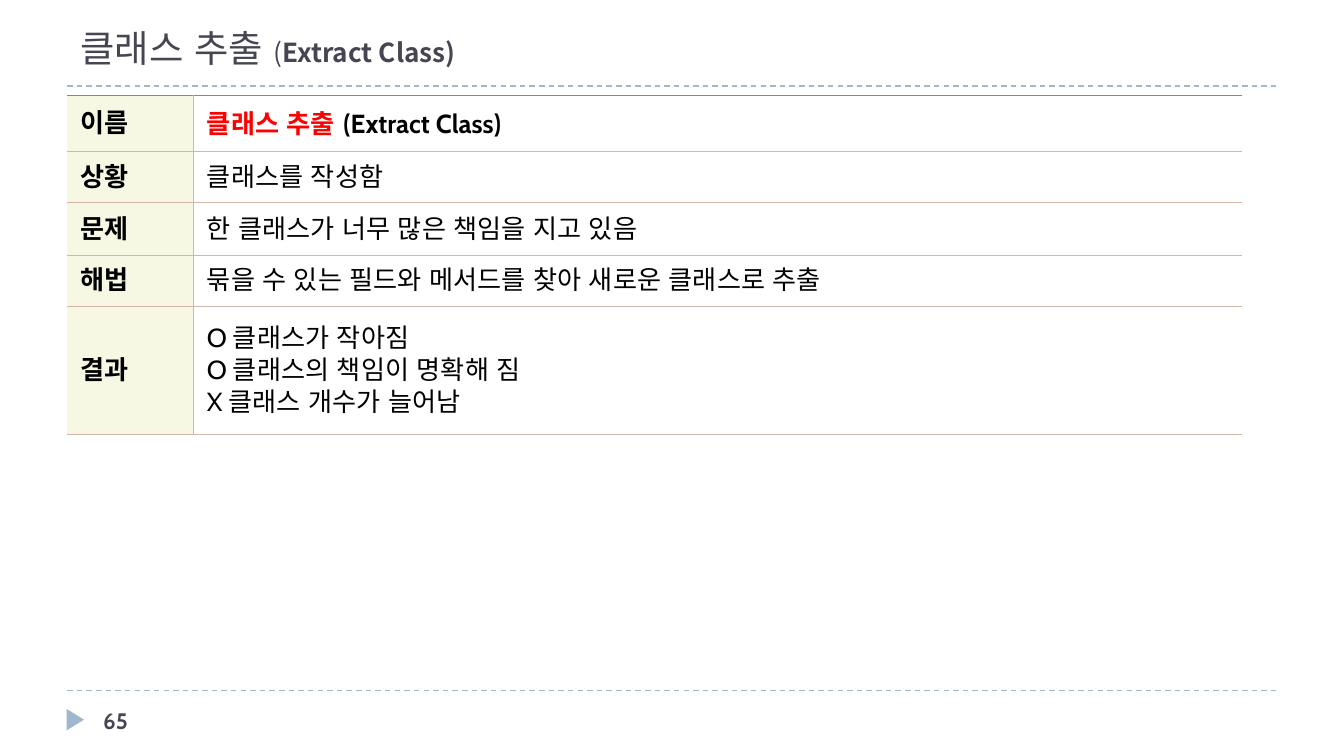
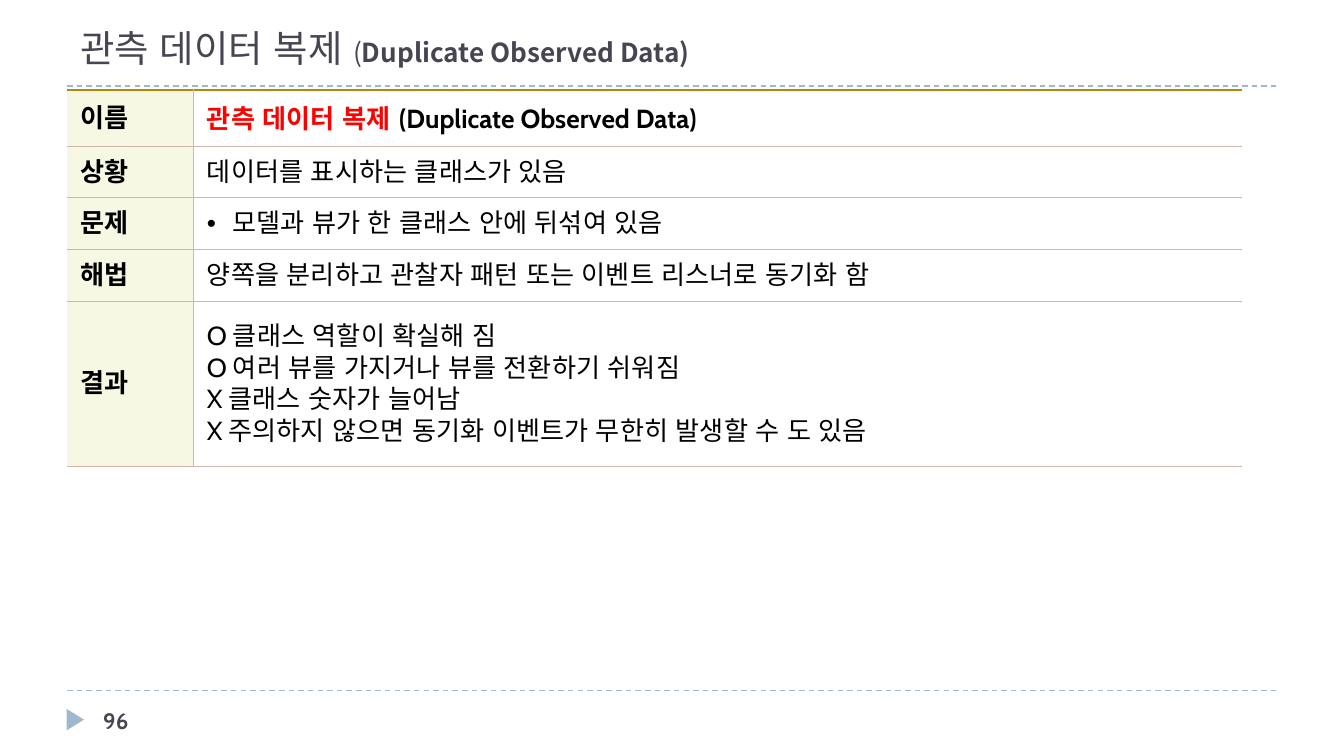
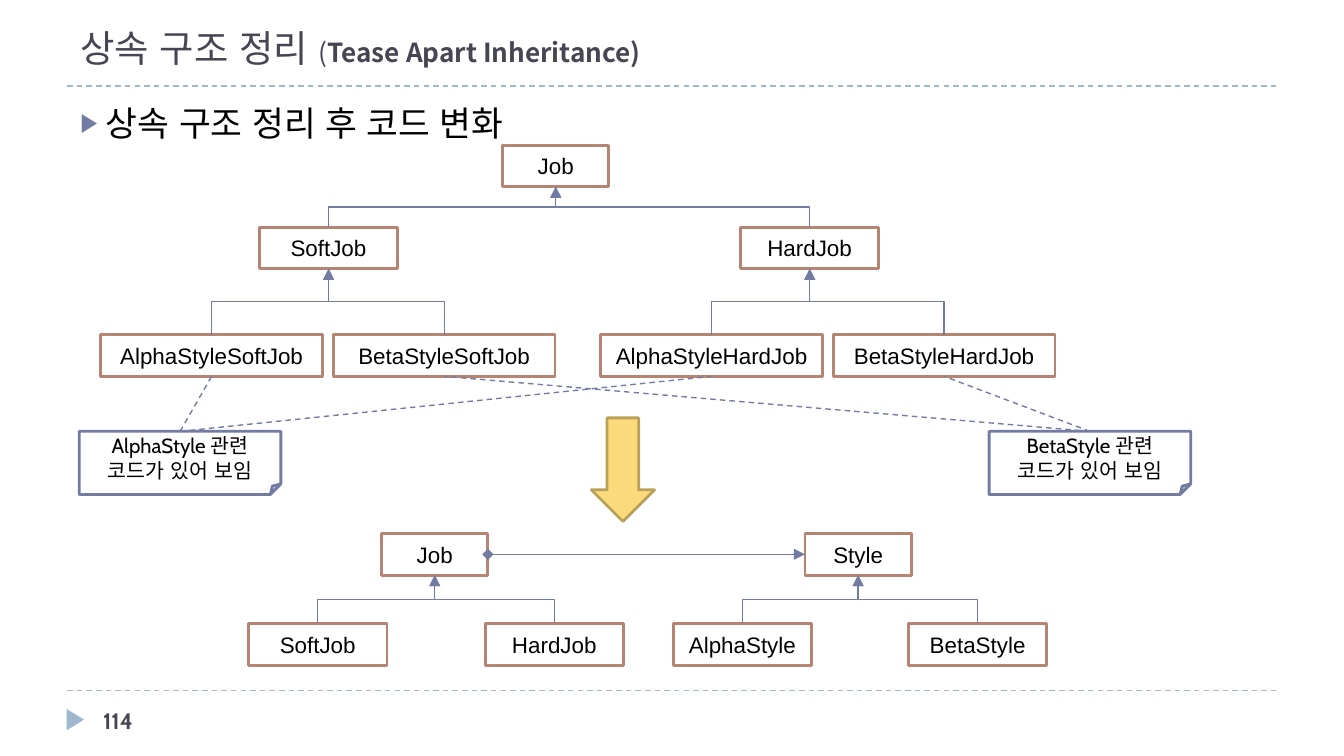
from pptx import Presentation
from pptx.dml.color import RGBColor
from pptx.enum.dml import MSO_LINE
from pptx.enum.shapes import MSO_CONNECTOR, MSO_SHAPE
from pptx.enum.text import MSO_ANCHOR, PP_ALIGN
from pptx.oxml.ns import qn
from pptx.util import Inches, Pt
from lxml.etree import SubElement

INK, SLATE, RED, WHITE = "000000", "464653", "FF0000", "FFFFFF"
SKY, INDIGO, CLAY, ROSE, GOLD = "9FB8CD", "727CA3", "B88472", "D4B5AA", "B38807"
LABEL_FILL = "F6F8E4"


def color(value):
    return RGBColor.from_string(value)


def write(paragraph, text, hue=INK, **format_values):
    run = paragraph.add_run()
    run.text = text
    run.font.color.rgb = color(hue)
    for name, value in format_values.items():
        setattr(run.font, name, value)
    SubElement(run.font._element, qn("a:ea"), typeface="Arial")


title_format = {"name": "Noto Sans CJK KR", "size": Pt(20)}
english_format = {"name": "Noto Sans CJK KR", "size": Pt(14)}
number_format = {"name": "Cabin", "size": Pt(12), "bold": True}
cell_format = {"name": "Cabin", "size": Pt(14)}
heading_format = {"name": "DejaVu Sans Mono", "size": Pt(18.5)}
class_format = {"name": "Arial", "size": Pt(12)}
note_format = {"name": "Cabin", "size": Pt(11)}

pages = [
    ("클래스 추출", "Extract Class", "65"),
    ("관측 데이터 복제", "Duplicate Observed Data", "96"),
    ("상속 구조 정리", "Tease Apart Inheritance", "114"),
]
row_labels = ["이름", "상황", "문제", "해법", "결과"]
pattern_tables = [
    (0.71, [0.42, 0.38, 0.39, 0.38, 0.95], [
        ["클래스를 작성함"],
        ["한 클래스가 너무 많은 책임을 지고 있음"],
        ["묶을 수 있는 필드와 메서드를 찾아 새로운 클래스로 추출"],
        ["O 클래스가 작아짐", "O 클래스의 책임이 명확해 짐", "X 클래스 개수가 늘어남"],
    ]),
    (0.67, [0.42, 0.38, 0.39, 0.38, 1.23], [
        ["데이터를 표시하는 클래스가 있음"],
        ["• 모델과 뷰가 한 클래스 안에 뒤섞여 있음"],
        ["양쪽을 분리하고 관찰자 패턴 또는 이벤트 리스너로 동기화 함"],
        ["O 클래스 역할이 확실해 짐", "O 여러 뷰를 가지거나 뷰를 전환하기 쉬워짐",
         "X 클래스 숫자가 늘어남", "X 주의하지 않으면 동기화 이벤트가 무한히 발생할 수 도 있음"],
    ]),
]

deck = Presentation()
deck.slide_width = Inches(10)
deck.slide_height = deck.slide_width * 9 // 16
lines = []

for korean, english, number in pages:
    slide = deck.slides.add_slide(deck.slide_layouts[6])
    for y in (5.14, 0.64):
        rule = slide.shapes.add_connector(
            MSO_CONNECTOR.STRAIGHT, Inches(0.5), Inches(y), Inches(9.5), Inches(y))
        lines.append((rule, SKY, True, {}))

    marker = slide.shapes.add_shape(
        MSO_SHAPE.ISOSCELES_TRIANGLE, Inches(0.48), Inches(5.29), Inches(0.16), Inches(0.13))
    marker.rotation = 90
    marker.shadow.inherit = False
    marker.fill.solid()
    marker.fill.fore_color.rgb = color(SKY)
    marker.line.fill.background()

    page_number = slide.shapes.add_textbox(Inches(0.67), Inches(5.21), Inches(2.17), Inches(0.3))
    page_number.text_frame.word_wrap = True
    write(page_number.text_frame.paragraphs[0], number, SLATE, **number_format)

    title = slide.shapes.add_textbox(Inches(0.5), Inches(0.13), Inches(9), Inches(0.44)).text_frame
    title.word_wrap = True
    title.vertical_anchor = MSO_ANCHOR.BOTTOM
    write(title.paragraphs[0], korean + " ", SLATE, **title_format)
    write(title.paragraphs[0], "(", SLATE, **english_format)
    write(title.paragraphs[0], english + ")", SLATE, bold=True, **english_format)

for slide, page, (top, row_heights, contents) in zip(deck.slides, pages, pattern_tables):
    table = slide.shapes.add_table(
        5, 2, Inches(0.5), Inches(top), Inches(8.74), Inches(sum(row_heights))).table
    table.first_row = table.horz_banding = False
    table.columns[0].width, table.columns[1].width = Inches(0.94), Inches(7.8)
    for row, row_height in zip(table.rows, row_heights):
        row.height = Inches(row_height)

    for index, label in enumerate(row_labels):
        for column, cell in enumerate(table.rows[index].cells):
            cell.vertical_anchor = MSO_ANCHOR.MIDDLE
            borders = {
                "a:lnL": ROSE if column else None,
                "a:lnR": None if column else ROSE,
                "a:lnT": ROSE if index else GOLD,
                "a:lnB": ROSE,
            }
            for side, hue in borders.items():
                width = Pt(1) if hue == GOLD else Pt(0.5)
                border = SubElement(cell._tc.get_or_add_tcPr(), qn(side), w=str(width))
                if hue:
                    SubElement(SubElement(border, qn("a:solidFill")), qn("a:srgbClr"), val=hue)
                else:
                    SubElement(border, qn("a:noFill"))
            if column:
                cell.fill.background()
            else:
                cell.fill.solid()
                cell.fill.fore_color.rgb = color(LABEL_FILL)

        label_cell, content_cell = table.rows[index].cells
        write(label_cell.text_frame.paragraphs[0], label, bold=True, **cell_format)
        content = content_cell.text_frame
        if index == 0:
            name = content.paragraphs[0]
            write(name, page[0], RED, bold=True, **cell_format)
            write(name, " ", name="Cabin", size=Pt(16), bold=True)
            write(name, f"({page[1]})", bold=True, **cell_format)
            continue
        for position, text in enumerate(contents[index - 1]):
            paragraph = content.add_paragraph() if position else content.paragraphs[0]
            if text.startswith("•"):
                properties = paragraph._p.get_or_add_pPr()
                properties.set("marL", str(Inches(0.19)))
                properties.set("indent", str(-Inches(0.19)))
                SubElement(properties, qn("a:buFont"), typeface="Arial")
                SubElement(properties, qn("a:buChar"), char="•")
            write(paragraph, text.removeprefix("• "), bold=False, **cell_format)

slide = deck.slides[2]
heading = slide.shapes.add_textbox(Inches(0.5), Inches(0.71), Inches(9), Inches(0.37)).text_frame
heading.word_wrap = True
properties = heading.paragraphs[0]._p.get_or_add_pPr()
properties.set("marL", str(Inches(0.19)))
properties.set("indent", str(-Inches(0.19)))
SubElement(SubElement(properties, qn("a:buClr")), qn("a:srgbClr"), val=INDIGO)
SubElement(properties, qn("a:buSzPct"), val="76000")
SubElement(properties, qn("a:buFont"), typeface="Arial")
SubElement(properties, qn("a:buChar"), char="▶")
write(heading.paragraphs[0], "상속 구조 정리 후 코드 변화", **heading_format)

hierarchies = [
    ([("Job", 3.74, 1.08, 0.79),
      ("SoftJob", 1.93, 1.69, 1.03), ("HardJob", 5.51, 1.69, 1.03),
      ("AlphaStyleSoftJob", 0.75, 2.49, 1.65), ("BetaStyleSoftJob", 2.48, 2.49, 1.65),
      ("AlphaStyleHardJob", 4.47, 2.49, 1.65), ("BetaStyleHardJob", 6.2, 2.49, 1.65)],
     {"SoftJob": ["AlphaStyleSoftJob", "BetaStyleSoftJob"],
      "HardJob": ["AlphaStyleHardJob", "BetaStyleHardJob"],
      "Job": ["SoftJob", "HardJob"]}),
    ([("Job", 2.84, 3.97, 0.79), ("SoftJob", 1.85, 4.64, 1.03), ("HardJob", 3.61, 4.64, 1.03),
      ("Style", 5.99, 3.97, 0.79), ("AlphaStyle", 5.01, 4.64, 1.03), ("BetaStyle", 6.76, 4.64, 1.03)],
     {"Job": ["SoftJob", "HardJob"], "Style": ["AlphaStyle", "BetaStyle"]}),
]
stages = []
for classes, families in hierarchies:
    boxes = {}
    for name, left, top, width in classes:
        box = slide.shapes.add_shape(
            MSO_SHAPE.RECTANGLE, Inches(left), Inches(top), Inches(width), Inches(0.31))
        box.shadow.inherit = False
        box.fill.solid()
        box.fill.fore_color.rgb = color(WHITE)
        box.line.color.rgb = color(CLAY)
        box.line.width = Pt(1.5)
        box.text_frame.margin_left = box.text_frame.margin_right = 0
        box.text_frame.paragraphs[0].alignment = PP_ALIGN.CENTER
        write(box.text_frame.paragraphs[0], name, **class_format)
        boxes[name] = box
    stages.append(boxes)

    for parent_name, children in families.items():
        parent = boxes[parent_name]
        parent_x, parent_y = parent.left + parent.width // 2, parent.top + parent.height
        for child_name in children:
            child = boxes[child_name]
            child_x = child.left + child.width // 2
            middle_x, middle_y = (child_x + parent_x) // 2, (child.top + parent_y) // 2
            half_rise, half_run = (child.top - parent_y) // 2, abs(child_x - parent_x) // 2
            side = 1 if child_x < parent_x else -1
            branch = slide.shapes.add_connector(
                MSO_CONNECTOR.ELBOW,
                middle_x + side * half_rise, middle_y + half_run,
                middle_x - side * half_rise, middle_y - half_run)
            branch.rotation = 90 if side == 1 else 270
            lines.append((branch, INDIGO, False, {"a:tailEnd": "triangle"}))

before, after = stages
for style, left in (("AlphaStyle", 0.59), ("BetaStyle", 7.36)):
    note = slide.shapes.add_shape(
        MSO_SHAPE.FOLDED_CORNER, Inches(left), Inches(3.21), Inches(1.5), Inches(0.47))
    note.shadow.inherit = False
    note.fill.solid()
    note.fill.fore_color.rgb = color(WHITE)
    note.line.color.rgb = color(INDIGO)
    note.line.width = Pt(1.5)
    note.text_frame.paragraphs[0].alignment = PP_ALIGN.CENTER
    write(note.text_frame.paragraphs[0], f"{style} 관련 코드가 있어 보임", **note_format)
    for job in ("SoftJob", "HardJob"):
        reference = slide.shapes.add_connector(MSO_CONNECTOR.STRAIGHT, 0, 0, 0, 0)
        reference.begin_connect(note, 0)
        reference.end_connect(before[style + job], 2)
        lines.append((reference, INDIGO, True, {}))

composition = slide.shapes.add_connector(MSO_CONNECTOR.STRAIGHT, 0, 0, 0, 0)
composition.begin_connect(after["Style"], 1)
composition.end_connect(after["Job"], 3)
lines.append((composition, INDIGO, False, {"a:headEnd": "triangle", "a:tailEnd": "diamond"}))

change = slide.shapes.add_shape(
    MSO_SHAPE.DOWN_ARROW, Inches(4.4), Inches(3.11), Inches(0.47), Inches(0.77))
change.shadow.inherit = False
change.fill.solid()
change.fill.fore_color.rgb = color("FADA7A")
change.line.color.rgb = color("B9A15A")
change.line.width = Pt(1.5)

for connector, hue, dashed, ends in lines:
    connector.line.color.rgb = color(hue)
    connector.line.width = Pt(0.75)
    if dashed:
        connector.line.dash_style = MSO_LINE.DASH
    for end, kind in ends.items():
        SubElement(connector.get_or_add_ln(), qn(end), type=kind)
    SubElement(connector._element.spPr, qn("a:effectLst"))

deck.save("out.pptx")
